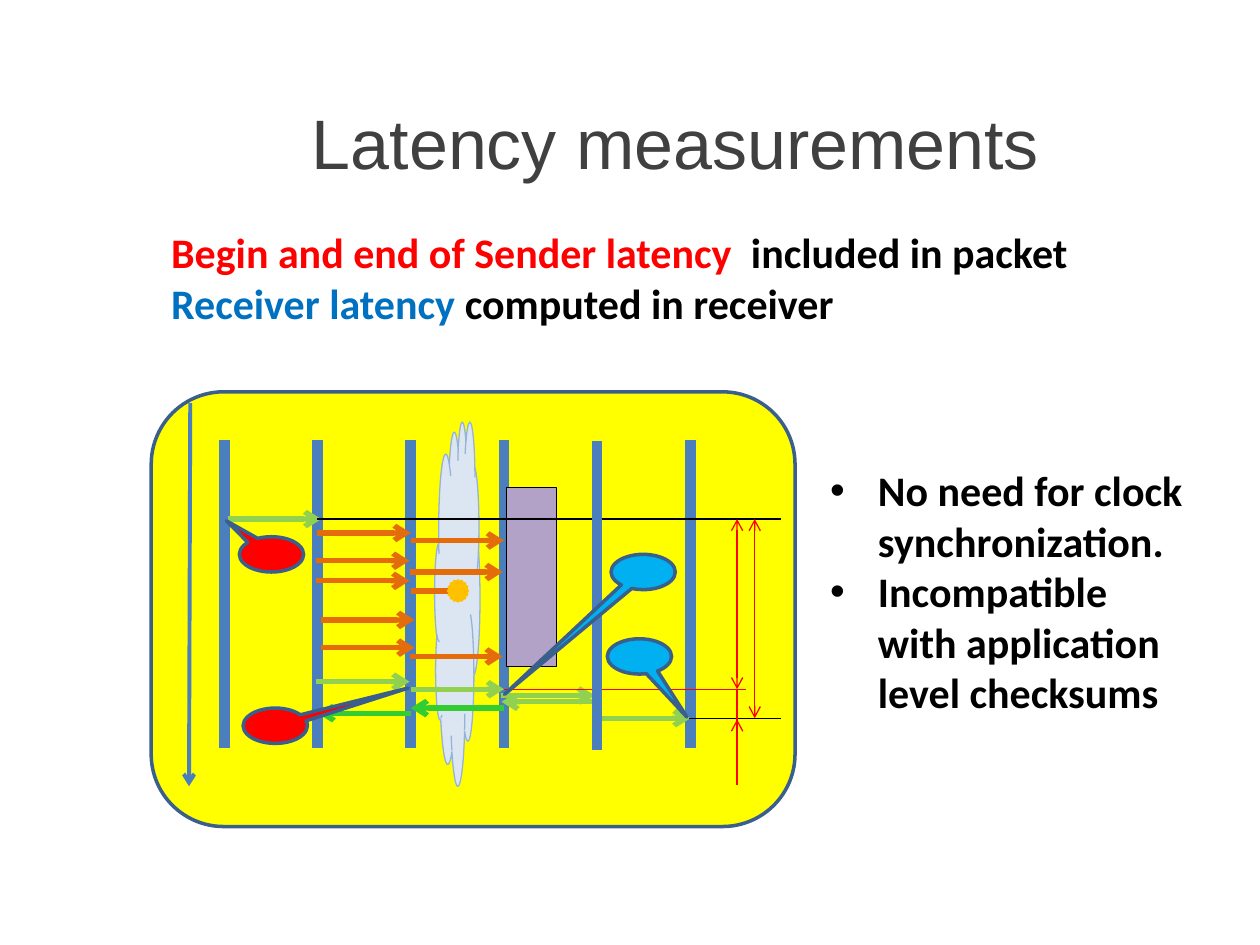
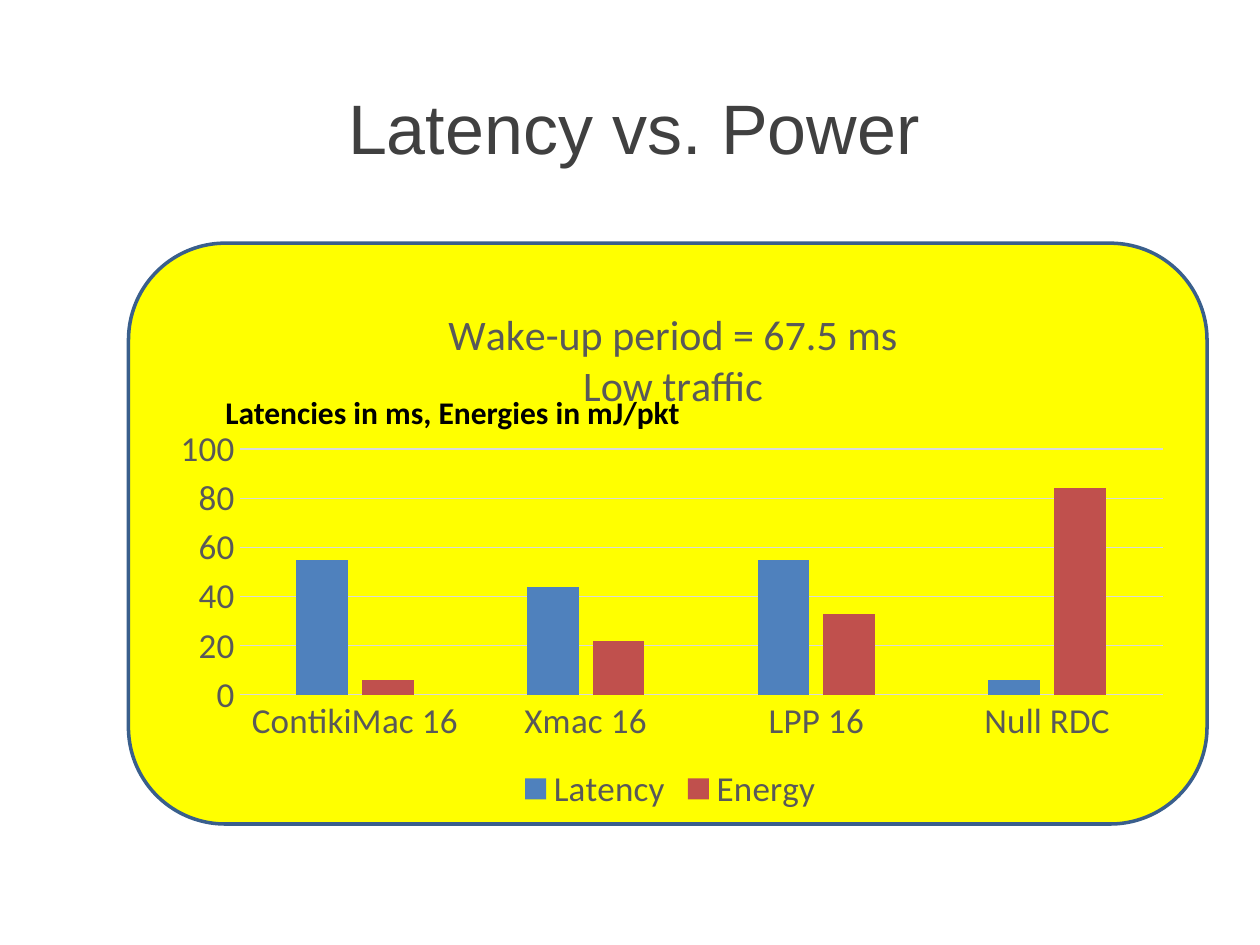
from lxml import etree
from pptx import Presentation
from pptx import util as u
from pptx.chart import data as chart_data
from pptx.dml import color
from pptx.enum import chart as chart_enum, shapes, text
from pptx.oxml import ns, parse_xml

COLORS = {
    "title": "404040", "ink": "000000", "label": "595959", "grid": "D9D9D9",
    "yellow": "FFFF00", "outline": "3A5F8C", "lifeline": "4B7EBC",
    "red": "FF0000", "blue": "0070C0", "sky": "00B0F0",
    "lime": "92D050", "green": "33CC33", "orange": "E46C0A", "gold": "FFC000",
    "cloud": "DCE6F2", "cloud_line": "95B3D7", "purple": "B3A2C7",
    "latency": "4F81BD", "energy": "C0504D",
}
SHAPE = shapes.MSO_SHAPE
STEP = 0.74


def rgb(name):
    return color.RGBColor.from_string(COLORS[name])


class Painter:
    """Draws styled elements on the current page of a deck."""

    def __init__(self):
        self.deck = Presentation()
        self.deck.slide_width = u.Inches(10)
        self.deck.slide_height = u.Inches(7.5)
        self.page = None

    def new_page(self, title, left, top, height):
        self.page = self.deck.slides.add_slide(self.deck.slide_layouts[6])
        box = self.text((left, top, 7.56, height), [[(title, "title")]], 40, face="Arial", bold=False)
        box.text_frame.vertical_anchor = text.MSO_ANCHOR.MIDDLE
        box.text_frame.paragraphs[0].alignment = text.PP_ALIGN.CENTER

    def font(self, font, size, name, face="Calibri", bold=False):
        font.size, font.name, font.bold = u.Pt(size), face, bold
        font.color.rgb = rgb(name)

    def text(self, at, lines, size, face="Calibri", bold=True, wrap=True, bullet=False):
        box = self.page.shapes.add_textbox(*map(u.Inches, at))
        frame = box.text_frame
        frame.word_wrap = wrap
        for index, spans in enumerate(lines):
            para = frame.add_paragraph() if index else frame.paragraphs[0]
            if bullet:
                props = para._p.get_or_add_pPr()
                props.set("marL", str(u.Inches(0.38)))
                props.set("indent", str(u.Inches(-0.38)))
                etree.SubElement(props, ns.qn("a:buFont")).set("typeface", "Arial")
                etree.SubElement(props, ns.qn("a:buChar")).set("char", "•")
            for words, name in spans:
                span = para.add_run()
                span.text = words
                self.font(span.font, size, name, face, bold)
        return box

    def shape(self, kind, at, fill, line="outline", width=2, adjust=()):
        shape = self.page.shapes.add_shape(kind, *map(u.Inches, at))
        shape.shadow.inherit = False
        shape.fill.solid()
        shape.fill.fore_color.rgb = rgb(fill)
        shape.line.color.rgb = rgb(line)
        shape.line.width = u.Pt(width)
        for index, value in enumerate(adjust):
            shape.adjustments[index] = value
        return shape

    def panel(self, *at):
        self.shape(SHAPE.ROUNDED_RECTANGLE, at, "yellow")

    def callout(self, left, top, fill, tip):
        self.shape(SHAPE.OVAL_CALLOUT, (left, top, 0.51, 0.28), fill, adjust=tip)

    def line(self, start, end, name, width, arrows=()):
        line = self.page.shapes.add_connector(
            shapes.MSO_CONNECTOR.STRAIGHT, *map(u.Inches, (*start, *end)))
        line.line.color.rgb = rgb(name)
        line.line.width = u.Pt(width)
        for end_name in arrows:
            tip = etree.SubElement(line.line._get_or_add_ln(), ns.qn(f"a:{end_name}"))
            tip.set("type", "arrow")
        etree.SubElement(line._element.spPr, ns.qn("a:effectLst"))

    def lifeline(self, x, top=3.49):
        self.line((x, top), (x, top + 2.45), "lifeline", 6)

    def message(self, x, y, name, arrows=("tailEnd",)):
        self.line((x, y), (x + STEP, y), name, 3, arrows)

    def place(self, element, before, inner=False, **fractions):
        for old in element.findall(ns.qn("c:layout")):
            element.remove(old)
        target = '<c:layoutTarget val="inner"/>' if inner else ""
        modes = "".join(f'<c:{side}Mode val="edge"/>' for side in "xy")
        sizes = "".join(f'<c:{key} val="{value}"/>' for key, value in fractions.items())
        layout = parse_xml(f'<c:layout {ns.nsdecls("c")}><c:manualLayout>'
                           f'{target}{modes}{sizes}</c:manualLayout></c:layout>')
        element.insert(before, layout)

    def column_chart(self, at, title, categories, series):
        data = chart_data.CategoryChartData()
        data.categories = categories
        for name, values in series.items():
            data.add_series(name, values)
        chart = self.page.shapes.add_chart(
            chart_enum.XL_CHART_TYPE.COLUMN_CLUSTERED, *map(u.Inches, at), data).chart
        self.font(chart.font, 20, "ink")
        chart.has_title = True
        frame = chart.chart_title.text_frame
        for index, words in enumerate(title):
            para = frame.add_paragraph() if index else frame.paragraphs[0]
            span = para.add_run()
            span.text = words
            self.font(span.font, 24, "label")
        self.place(chart.chart_title._element, 1, x=0.28, y=0.04)
        plot = chart.plots[0]
        plot.gap_width, plot.overlap, plot.vary_by_categories = 219, -27, False
        for bars in plot.series:
            bars.format.fill.solid()
            bars.format.fill.fore_color.rgb = rgb(bars.name.lower())
        self.place(chart._chartSpace.chart.plotArea, 0, True, x=0.08, y=0.31, w=0.9, h=0.46)
        for axis in (chart.category_axis, chart.value_axis):
            axis.major_tick_mark = axis.minor_tick_mark = chart_enum.XL_TICK_MARK.NONE
            self.font(axis.tick_labels.font, 20, "label")
        values = chart.value_axis
        values.minimum_scale, values.maximum_scale, values.major_unit = 0, 100, 20
        values.format.line.fill.background()
        for line in (chart.category_axis.format.line, values.major_gridlines.format.line):
            line.color.rgb = rgb("grid")
            line.width = u.Pt(0.75)
        chart.has_legend = True
        chart.legend.position = chart_enum.XL_LEGEND_POSITION.BOTTOM
        chart.legend.include_in_layout = False
        self.font(chart.legend.font, 20, "label")


def draw_measurements(painter):
    painter.new_page("Latency measurements", 1.58, 0.72, 0.8)
    painter.text((1.26, 1.75, 7.38, 0.91), [
        [("Begin and end of Sender latency ", "red"), (" included in packet", "ink")],
        [("Receiver latency ", "blue"), ("computed in receiver", "ink")],
    ], 24, wrap=False)
    painter.panel(1.2, 3.11, 5.11, 3.45)
    painter.line((1.51, 3.2), (1.5, 6.24), "lifeline", 2.25, ["tailEnd"])
    for column in (0, 1, 2, 3, 5):
        painter.lifeline(1.78 + STEP * column)
    painter.shape(SHAPE.CLOUD, (3.45, 3.34, 0.36, 2.89), "cloud", "cloud_line", 0.75)

    messages = {
        "lime": [(1.81, 4.12), (3.98, 5.52), (4.74, 5.7), (3.26, 5.47), (2.51, 5.41)],
        "orange": [(2.52, 4.23), (2.51, 4.45), (2.51, 4.61), (2.55, 4.92), (2.55, 5.14),
                   (3.26, 4.29), (3.25, 4.54), (3.25, 5.21)],
    }
    for name, starts in messages.items():
        for x, y in starts:
            painter.message(x, y, name)
    painter.line((3.26, 4.69), (3.56, 4.69), "orange", 3)
    painter.shape(SHAPE.STAR_16_POINT, (3.56, 4.61, 0.15, 0.16), "gold", "gold")
    painter.shape(SHAPE.RECTANGLE, (4.02, 3.87, 0.4, 1.42), "purple", "ink", 0.75)
    for x, y, name in [(3.98, 5.57, "lime"), (2.52, 5.66, "green"), (3.26, 5.62, "green")]:
        painter.message(x, y, name, ["headEnd"])

    both = ("headEnd", "tailEnd")
    for start, end, name, arrows in [
        ((2.52, 4.12), (6.2, 4.12), "ink", ()),
        ((5.47, 5.7), (6.2, 5.7), "ink", ()),
        ((4, 5.47), (5.92, 5.47), "red", ()),
        ((5.85, 4.12), (5.85, 5.47), "red", both),
        ((5.99, 4.12), (5.99, 5.7), "red", both),
        ((5.85, 5.71), (5.85, 5.94), "red", ["headEnd"]),
        ((5.85, 5.47), (5.85, 6.23), "red", ()),
    ]:
        painter.line(start, end, name, 0.75, arrows)

    painter.callout(1.9, 4.26, "red", (-0.7, -0.95))
    painter.callout(1.93, 5.62, "red", (2.07, -1.07))
    painter.callout(4.82, 5.07, "sky", (0.74, 1.72))
    painter.lifeline(1.78 + STEP * 4, 3.5)
    painter.callout(4.85, 4.4, "sky", (-2.16, 3.47))
    painter.text((6.49, 3.64, 3.07, 2.12), [
        [("No need for clock synchronization.", "ink")],
        [("Incompatible with application level checksums", "ink")],
    ], 24, bullet=True)


def draw_comparison(painter):
    painter.new_page("Latency vs. Power", 1.25, 0.58, 0.85)
    painter.panel(1.02, 1.93, 8.56, 4.61)
    painter.column_chart(
        (1.25, 2.25, 8.14, 4.24),
        ["Wake-up period = 67.5 ms", "Low traffic"],
        ["ContikiMac 16", "Xmac 16", "LPP 16", "Null RDC"],
        {"Latency": (55, 44, 55, 6), "Energy": (6, 22, 33, 84)})
    painter.text((1.69, 3.07, 3.84, 0.4),
                 [[("Latencies in ms, Energies in mJ/pkt", "ink")]], 18, wrap=False)


def main():
    painter = Painter()
    draw_measurements(painter)
    draw_comparison(painter)
    painter.deck.save("out.pptx")


if __name__ == "__main__":
    main()
